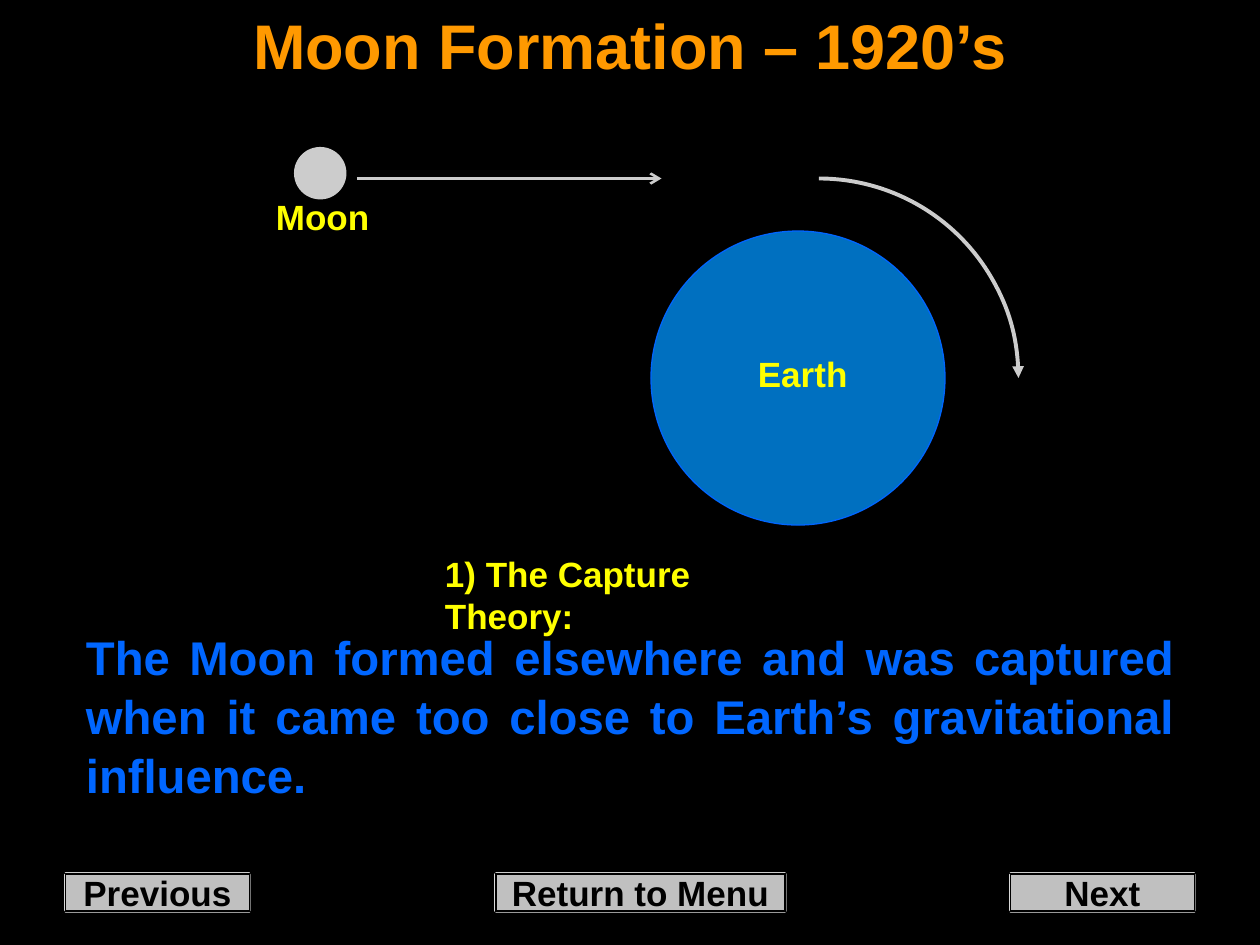
from dataclasses import dataclass

from lxml.etree import SubElement
from pptx import Presentation
from pptx.dml.color import RGBColor
from pptx.enum.shapes import MSO_CONNECTOR, MSO_SHAPE
from pptx.enum.text import MSO_ANCHOR, MSO_AUTO_SIZE, PP_ALIGN
from pptx.oxml.ns import qn
from pptx.util import Inches, Pt


@dataclass(frozen=True)
class Theme:
    """Colours, type sizes and font of the slide."""
    font: str = "Arial"
    title_size: int = 36
    body_size: int = 27
    label_size: int = 20
    space: str = "000000"
    title: str = "FF9900"
    body: str = "0066FF"
    label: str = "FFFF00"
    moon: str = "CCCCCC"
    earth: str = "0070C0"
    button: str = "C0C0C0"


def rgb(value):
    """Return a colour for a hex string."""
    return RGBColor.from_string(value)


class Deck:
    """Builds slide elements on a grid of 120 columns by 90 rows."""

    def __init__(self, theme):
        """Start a deck of 10 by 7.5 inches."""
        self.theme = theme
        self.prs = Presentation()
        self.prs.slide_width, self.prs.slide_height = Inches(10), Inches(7.5)
        self.s = None

    def grid(self, *cells):
        """Turn grid cells, each a twelfth of an inch, into lengths."""
        return [Inches(n / 12) for n in cells]

    def slide(self):
        """Add a title-only slide with a plain background."""
        self.s = self.prs.slides.add_slide(self.prs.slide_layouts[5])
        fill = self.s.background.fill
        fill.solid()
        fill.fore_color.rgb = rgb(self.theme.space)

    def put_text(self, sp, text, size, color, align=PP_ALIGN.LEFT, spacing=None, **frame):
        """Put one bold paragraph into a shape."""
        tf = sp.text_frame
        for name, value in frame.items():
            setattr(tf, name, value)
        p = tf.paragraphs[0]
        p.alignment, p.line_spacing = align, spacing
        r = p.add_run()
        r.text = text
        style = {"name": self.theme.font, "size": Pt(size), "bold": True}
        for name, value in style.items():
            setattr(r.font, name, value)
        r.font.color.rgb = rgb(color)

    def title(self, text, box):
        """Place and fill the title placeholder."""
        sp = self.s.shapes.title
        for name, value in zip(("left", "top", "width", "height"), self.grid(*box)):
            setattr(sp, name, value)
        self.put_text(sp, text, self.theme.title_size, self.theme.title, PP_ALIGN.CENTER,
                      word_wrap=True, vertical_anchor=MSO_ANCHOR.TOP,
                      auto_size=MSO_AUTO_SIZE.SHAPE_TO_FIT_TEXT)

    def text(self, text, box, size, color, wrap=False, **style):
        """Add a text box."""
        sp = self.s.shapes.add_textbox(*self.grid(*box))
        self.put_text(sp, text, size, color, word_wrap=wrap,
                      auto_size=MSO_AUTO_SIZE.SHAPE_TO_FIT_TEXT, **style)

    def label(self, text, box):
        """Add a small yellow caption."""
        self.text(text, box, self.theme.label_size, self.theme.label)

    def shape(self, kind, box, fill, line=None, width=0.75):
        """Add a filled preset shape."""
        sp = self.s.shapes.add_shape(kind, *self.grid(*box))
        sp.shadow.inherit = False
        sp.fill.solid()
        sp.fill.fore_color.rgb = rgb(fill)
        if line:
            sp.line.color.rgb = rgb(line)
            sp.line.width = Pt(width)
        else:
            sp.line.fill.background()
        return sp

    def button(self, text, box):
        """Add a bevelled button."""
        sp = self.shape(MSO_SHAPE.BEVEL, box, self.theme.button, self.theme.space)
        sp.adjustments[0] = 0.06
        self.put_text(sp, text, self.theme.label_size, self.theme.space, PP_ALIGN.CENTER,
                      word_wrap=False, vertical_anchor=MSO_ANCHOR.MIDDLE)

    def arrowhead(self, sp, kind):
        """Put an arrowhead at the end of a line."""
        SubElement(sp._element.spPr.get_or_add_ln(), qn("a:tailEnd"), type=kind)

    def arrow(self, ends, color, width):
        """Add a straight arrow."""
        sp = self.s.shapes.add_connector(MSO_CONNECTOR.STRAIGHT, *self.grid(*ends))
        sp.line.color.rgb = rgb(color)
        sp.line.width = Pt(width)
        self.arrowhead(sp, "arrow")
        SubElement(sp._element.spPr, qn("a:effectLst"))

    def orbit(self, box, color, width):
        """Add a quarter-circle arrow."""
        sp = self.shape(MSO_SHAPE.ARC, box, self.theme.space, color, width)
        self.arrowhead(sp, "triangle")


def main():
    """Build the Moon capture slide."""
    theme = Theme()
    deck = Deck(theme)
    deck.slide()
    deck.title("Moon Formation – 1920’s", (0, 0, 120, 8.4))
    for text, left, width in (("Previous", 6, 18), ("Next", 96, 18), ("Return to Menu", 47, 28)):
        deck.button(text, (left, 83, width, 4))
    deck.text("The Moon formed elsewhere and was captured when it came too close to "
              "Earth’s gravitational influence.", (7, 59, 106, 17.4),
              theme.body_size, theme.body, wrap=True, align=PP_ALIGN.JUSTIFY, spacing=1.04)
    deck.label("Moon", (25.1, 18, 11.3, 5.3))
    deck.shape(MSO_SHAPE.OVAL, (28, 14, 5, 5), theme.moon)
    deck.arrow((34, 17, 63, 17), theme.moon, 1.5)
    deck.orbit((59, 17, 38, 38), theme.moon, 2.25)
    deck.shape(MSO_SHAPE.OVAL, (62, 22, 28, 28), theme.earth, theme.body)
    deck.label("Earth", (71, 33, 10.9, 5.3))
    deck.label("1) The Capture Theory:", (41.2, 52, 38.9, 5.3))
    deck.prs.save("out.pptx")


if __name__ == "__main__":
    main()
